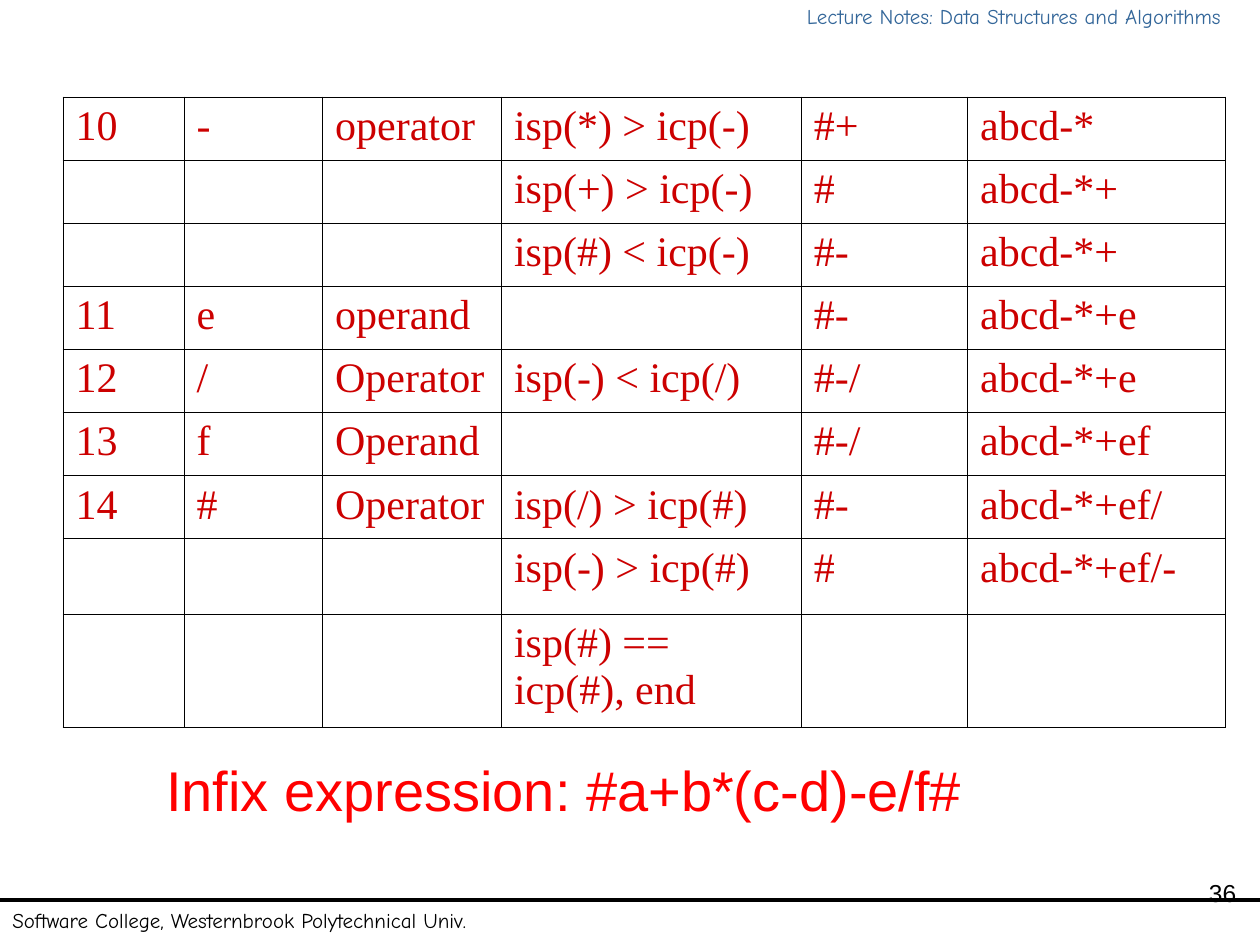
from lxml import etree
from pptx import Presentation
from pptx.dml.color import RGBColor
from pptx.enum.shapes import MSO_CONNECTOR
from pptx.enum.text import MSO_AUTO_SIZE, PP_ALIGN
from pptx.oxml import parse_xml
from pptx.oxml.ns import nsdecls, qn
from pptx.util import Inches, Pt

LEFT, RIGHT = PP_ALIGN.LEFT, PP_ALIGN.RIGHT
STRAIGHT = MSO_CONNECTOR.STRAIGHT
GROW = MSO_AUTO_SIZE.SHAPE_TO_FIT_TEXT
FIXED = MSO_AUTO_SIZE.NONE

COLORS = {
    "header": "336699",
    "ink": "000000",
    "steps": "CC0000",
    "expression": "FF0000",
}

COLUMN_WIDTHS = [0.96, 1.1, 1.42, 2.38, 1.32, 2.05]
ROW_HEIGHTS = [0.5] * 7 + [0.6, 0.9]
STEPS = [
    ("10", "-", "operator", "isp(*) > icp(-)", "#+", "abcd-*"),
    ("", "", "", "isp(+) > icp(-)", "#", "abcd-*+"),
    ("", "", "", "isp(#) < icp(-)", "#-", "abcd-*+"),
    ("11", "e", "operand", "", "#-", "abcd-*+e"),
    ("12", "/", "Operator", "isp(-) < icp(/)", "#-/", "abcd-*+e"),
    ("13", "f", "Operand", "", "#-/", "abcd-*+ef"),
    ("14", "#", "Operator", "isp(/) > icp(#)", "#-", "abcd-*+ef/"),
    ("", "", "", "isp(-) > icp(#)", "#", "abcd-*+ef/-"),
    ("", "", "", "isp(#) == icp(#), end", "", ""),
]


def style_font(font, size, name, color):
    font.size = Pt(size)
    font.name = name
    font.color.rgb = RGBColor.from_string(COLORS[color])


def add_text(page, box, text, size, name, color, align=LEFT, wrap=True, fit=GROW):
    frame = page.shapes.add_textbox(*map(Inches, box)).text_frame
    frame.word_wrap = wrap
    frame.auto_size = fit
    para = frame.paragraphs[0]
    para.text = text
    para.alignment = align
    style_font(para.font, size, name, color)
    return para


def add_header(page, box):
    para = add_text(page, box, "Lecture Notes: Data Structures and Algorithms",
                    12, "Comic Neue", "header", RIGHT, wrap=False)
    para.line_spacing = 0.6


def add_footer(page, box):
    left, top, width, height = box
    para = add_text(page, (left, top + 0.07, 4.33, height),
                    "Software College, Westernbrook Polytechnical Univ.",
                    12, "Comic Neue", "ink")
    para.line_spacing = 0.7
    para.space_before = Pt(7.5)
    rule = page.shapes.add_connector(
        STRAIGHT, Inches(left), Inches(top), Inches(left + width), Inches(top))
    rule.line.color.rgb = RGBColor.from_string(COLORS["ink"])
    rule.line.width = Pt(2.25)
    etree.SubElement(rule._element.spPr, qn("a:effectLst"))


def set_borders(cell):
    properties = cell._tc.get_or_add_tcPr()
    for index, side in enumerate(("lnL", "lnR", "lnT", "lnB")):
        properties.insert(index, parse_xml(
            f'<a:{side} {nsdecls("a")} w="{Pt(0.45)}"><a:solidFill>'
            f'<a:srgbClr val="{COLORS["ink"]}"/></a:solidFill></a:{side}>'))


def add_steps_table(page, box):
    table = page.shapes.add_table(
        len(STEPS), len(COLUMN_WIDTHS), *map(Inches, box)).table
    table.first_row = False
    table.horz_banding = False
    for column, width in zip(table.columns, COLUMN_WIDTHS):
        column.width = Inches(width)
    for row, height, values in zip(table.rows, ROW_HEIGHTS, STEPS):
        row.height = Inches(height)
        for cell, value in zip(row.cells, values):
            cell.fill.background()
            set_borders(cell)
            para = cell.text_frame.paragraphs[0]
            para.text = value
            style_font(para.font, 24, "Times New Roman", "steps")


def add_expression(page, box):
    add_text(page, box, "Infix expression: #a+b*(c-d)-e/f#", 32, "Arial", "expression")


def add_page_number(page, box):
    add_text(page, box, "36", 14, "Arial", "ink", RIGHT, fit=FIXED)


def main():
    deck = Presentation()
    deck.slide_width, deck.slide_height = Inches(10), Inches(7.5)
    page = deck.slides.add_slide(deck.slide_layouts[6])
    add_header(page, (6.28, 0.05, 3.51, 0.22))
    add_footer(page, (0, 7.14, 10, 0.24))
    add_steps_table(page, (0.5, 0.77, sum(COLUMN_WIDTHS), sum(ROW_HEIGHTS)))
    add_expression(page, (1.22, 5.95, 6.69, 0.64))
    add_page_number(page, (7.83, 6.92, 2.08, 0.5))
    deck.save("out.pptx")


if __name__ == "__main__":
    main()
